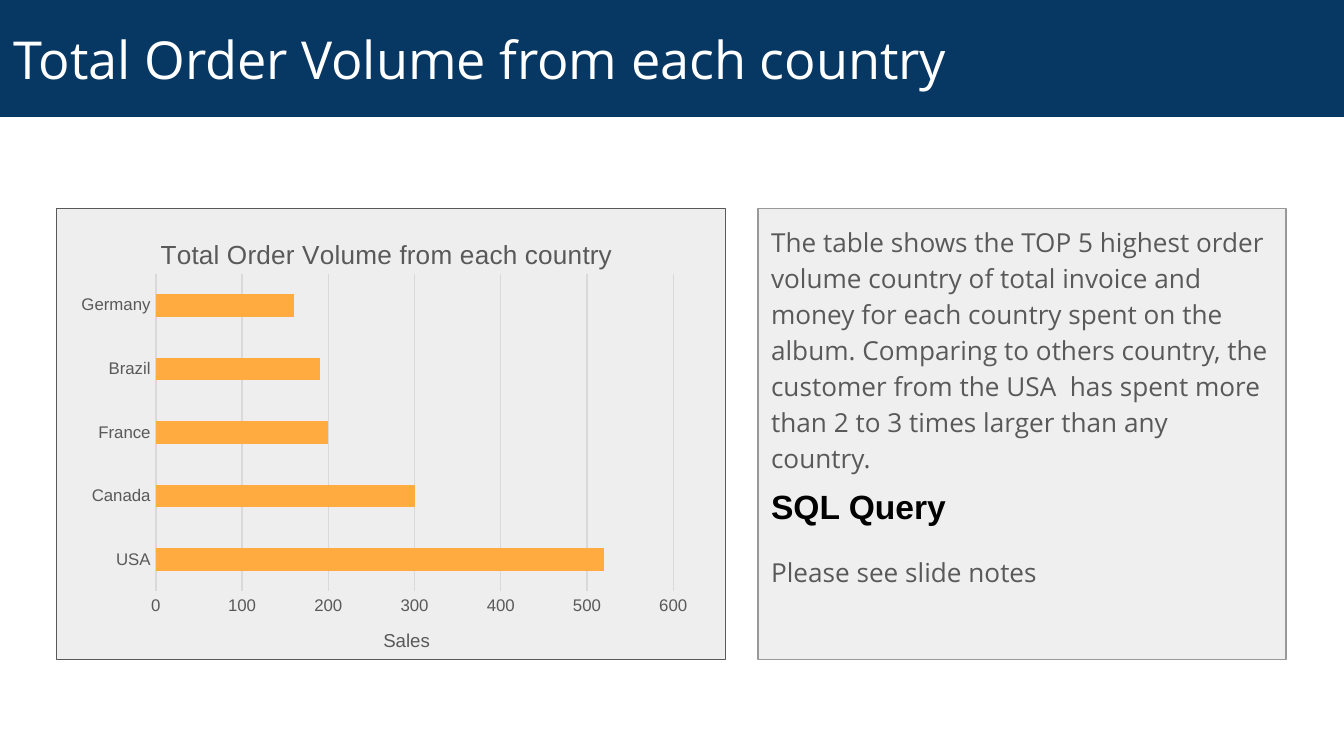
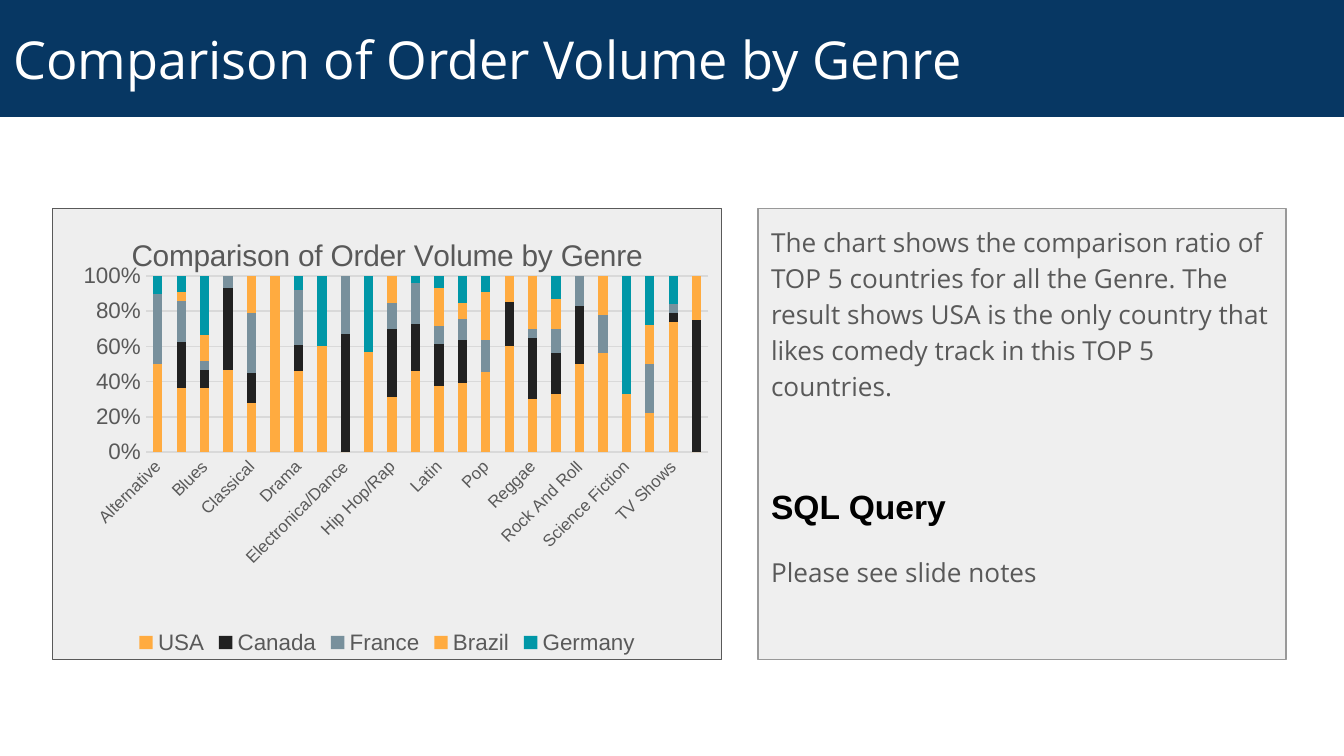
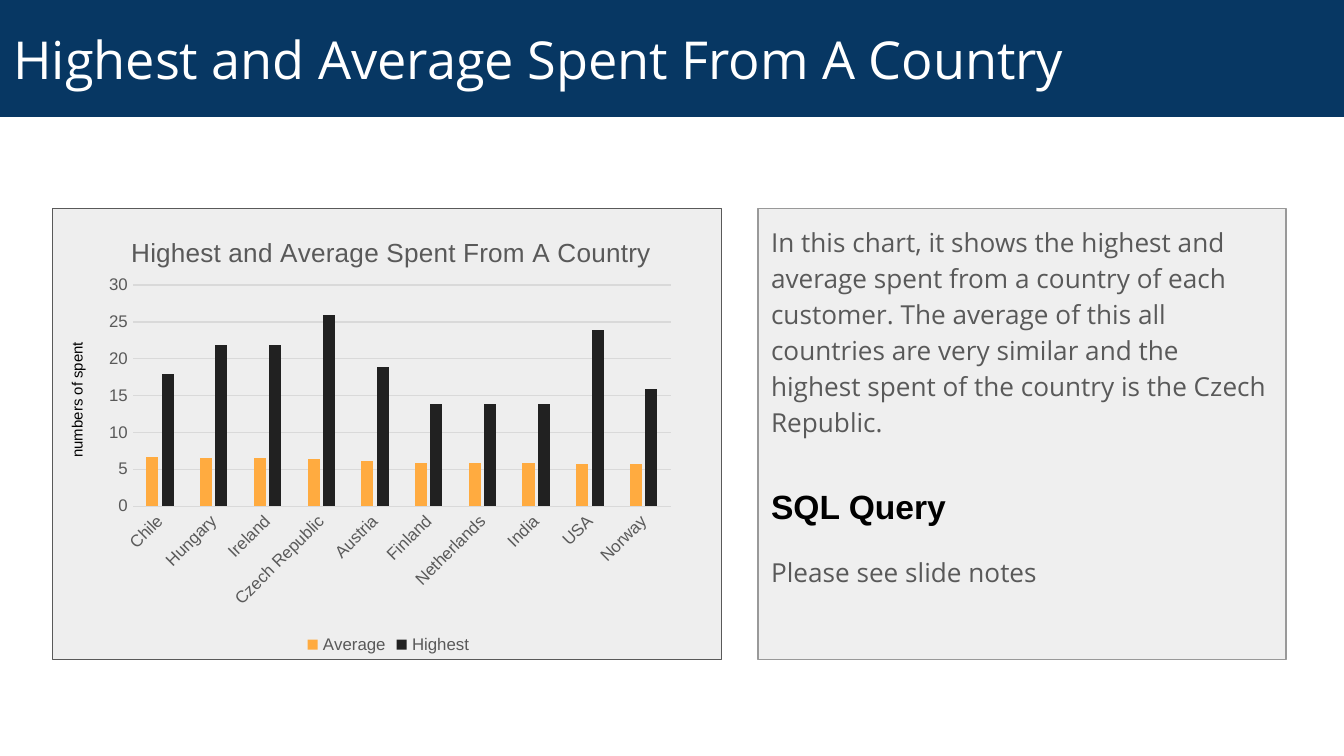
"""Build three slides that each pair a sales chart with a short explanation."""
from lxml.etree import SubElement
from pptx import Presentation
from pptx.chart.data import CategoryChartData
from pptx.dml.color import RGBColor
from pptx.enum.chart import XL_CHART_TYPE, XL_LEGEND_POSITION, XL_TICK_MARK
from pptx.enum.shapes import MSO_SHAPE
from pptx.enum.text import MSO_ANCHOR, MSO_AUTO_SIZE, PP_ALIGN
from pptx.oxml import parse_xml
from pptx.oxml.ns import nsdecls, qn
from pptx.util import Pt

COLORS = {
    "band": "073763", "white": "FFFFFF", "black": "000000", "text": "595959",
    "note": "EFEFEF", "note_line": "999999", "panel": "EEEEEE", "grid": "D9D9D9",
    "orange": "FFAB40", "dark": "212121", "slate": "78909C", "teal": "0097A7",
}
NOTE_LEFT, PANEL_TOP, NOTE_WIDTH, PANEL_HEIGHT = 406, 111.6, 283, 241.9
PANEL_WIDTH = 358.6

COUNTRIES = ["USA", "Canada", "France", "Brazil", "Germany"]
GENRES = ["Alternative", "Alternative & Punk", "Blues", "Bossa Nova", "Classical",
          "Comedy", "Drama", "Easy Listening", "Electronica/Dance", "Heavy Metal",
          "Hip Hop/Rap", "Jazz", "Latin", "Metal", "Pop", "R&B/Soul", "Reggae", "Rock",
          "Rock And Roll", "Sci Fi & Fantasy", "Science Fiction", "Soundtrack",
          "TV Shows", "World"]
SPENDERS = ["Chile", "Hungary", "Ireland", "Czech Republic", "Austria", "Finland",
            "Netherlands", "India", "USA", "Norway"]

SLIDES = [
    {
        "title": "Total Order Volume from each country",
        "note": "The table shows the TOP 5 highest order volume country of total invoice "
                "and money for each country spent on the album. Comparing to others "
                "country, the customer from the USA  has spent more than 2 to 3 times "
                "larger than any country.",
        "panel_left": 30.2,
        "label": {"text": "Sales", "frame": (198, 333.4, 39.6, 19.4), "size": 10,
                  "color": "text", "align": PP_ALIGN.CENTER},
        "chart": {
            "kind": XL_CHART_TYPE.BAR_CLUSTERED, "frame": (29.5, 113, 360, 239.8),
            "categories": COUNTRIES,
            "series": [("Series 1", [520, 300, 200, 190, 160], "orange")],
            "title_size": 14, "title_place": (0.15, 0.05),
            "plot_place": (0.15, 0.14, 0.77, 0.71), "gap": 182, "scale": (600, 100),
        },
    },
    {
        "title": "Comparison of Order Volume by Genre",
        "note": "The chart shows the comparison ratio of TOP 5 countries for all the "
                "Genre. The result shows USA is the only country that likes comedy track "
                "in this TOP 5 countries.",
        "panel_left": 28.1,
        "chart": {
            "kind": XL_CHART_TYPE.COLUMN_STACKED_100,
            "frame": (28.1, PANEL_TOP, PANEL_WIDTH, PANEL_HEIGHT),
            "categories": GENRES,
            "series": [
                ("USA", [50, 36, 37, 47, 28, 100, 46, 60, 0, 57, 31, 46, 37, 39, 45, 60,
                         30, 33, 50, 56, 33, 22, 74, 0], "orange"),
                ("Canada", [0, 26, 10, 47, 17, 0, 15, 0, 67, 0, 38, 27, 24, 24, 0, 25,
                            35, 23, 33, 0, 0, 0, 5, 75], "dark"),
                ("France", [40, 23, 5, 7, 34, 0, 31, 0, 33, 0, 15, 23, 10, 12, 18, 0,
                            5, 14, 17, 22, 0, 28, 5, 0], "slate"),
                ("Brazil", [0, 5, 15, 0, 21, 0, 0, 0, 0, 0, 15, 0, 21, 9, 27, 15,
                            30, 17, 0, 22, 0, 22, 0, 25], "orange"),
                ("Germany", [10, 9, 34, 0, 0, 0, 8, 40, 0, 43, 0, 4, 7, 15, 9, 0,
                             0, 13, 0, 0, 67, 28, 16, 0], "teal"),
            ],
            "title_size": 16, "title_place": (0.11, 0.05),
            "plot_place": (0.14, 0.15, 0.84, 0.39), "gap": 150, "overlap": 100,
            "value_size": 12, "value_format": "0%", "legend_size": 12,
            "slanted": True, "base_line": False,
        },
    },
    {
        "title": "Highest and Average Spent From A Country",
        "note": "In this chart, it shows the highest and average spent from a country of "
                "each customer. The average of this all countries are very similar and "
                "the highest spent of the country is the Czech Republic.",
        "panel_left": 28.1,
        "label": {"text": "numbers of spent", "frame": (2.9, 205.2, 77, 17.3), "size": 8,
                  "color": "black", "rotation": 270},
        "chart": {
            "kind": XL_CHART_TYPE.COLUMN_CLUSTERED,
            "frame": (28.1, PANEL_TOP, 360, PANEL_HEIGHT),
            "categories": SPENDERS,
            "series": [
                ("Average", [6.7, 6.5, 6.5, 6.4, 6.1, 5.9, 5.8, 5.8, 5.7, 5.7], "orange"),
                ("Highest", [17.9, 21.9, 21.9, 25.9, 18.9, 13.9, 13.9, 13.9, 23.9, 15.9],
                 "dark"),
            ],
            "title_size": 14, "title_place": (0.11, 0.05),
            "plot_place": (0.12, 0.17, 0.8, 0.49), "gap": 219, "overlap": -27,
            "scale": (30, 5), "legend_size": 9, "slanted": True,
        },
    },
]


def color(name):
    """Return the named colour."""
    return RGBColor.from_string(COLORS[name])


def points(*lengths):
    """Convert numbers to lengths in points."""
    return [Pt(length) for length in lengths]


def style_font(font, size, shade, family="Arial", bold=False):
    """Set size, colour, typeface and weight of a font."""
    font.size, font.name, font.bold = Pt(size), family, bold
    font.color.rgb = color(shade)


def style_runs(paragraph, *style, **options):
    """Apply one font style to every run of a paragraph."""
    for span in paragraph.runs:
        style_font(span.font, *style, **options)


def set_margins(frame, margin):
    """Give a text frame the same margin on all sides."""
    frame.margin_left = frame.margin_right = Pt(margin)
    frame.margin_top = frame.margin_bottom = Pt(margin)


def add_title(page, text):
    """Turn the title placeholder into the band across the top."""
    title = page.shapes.title
    title.left, title.top, title.width, title.height = points(0, 0, 720, 62.6)
    title.fill.solid()
    title.fill.fore_color.rgb = color("band")
    frame = title.text_frame
    frame.text = text
    frame.auto_size = MSO_AUTO_SIZE.NONE
    frame.vertical_anchor = MSO_ANCHOR.MIDDLE
    set_margins(frame, 7.2)
    paragraph = frame.paragraphs[0]
    paragraph.alignment = PP_ALIGN.LEFT
    style_runs(paragraph, 28, "white", "Open Sans")


def add_panel(page, left, width, fill, line):
    """Add a thinly outlined rectangle at panel height."""
    panel = page.shapes.add_shape(
        MSO_SHAPE.RECTANGLE, *points(left, PANEL_TOP, width, PANEL_HEIGHT))
    panel.shadow.inherit = False
    panel.fill.solid()
    panel.fill.fore_color.rgb = color(fill)
    panel.line.color.rgb = color(line)
    panel.line.width = Pt(0.75)
    return panel


def add_note(page, text):
    """Add the explanation panel on the right."""
    frame = add_panel(page, NOTE_LEFT, NOTE_WIDTH, "note", "note_line").text_frame
    frame.text = text
    frame.word_wrap = True
    frame.vertical_anchor = MSO_ANCHOR.TOP
    set_margins(frame, 7.2)
    paragraph = frame.paragraphs[0]
    paragraph.alignment = PP_ALIGN.LEFT
    paragraph.line_spacing = 1.15
    paragraph.space_after = Pt(16)
    style_runs(paragraph, 14, "text", "Open Sans")


def add_query(page):
    """Add the query heading and its hint over the explanation panel."""
    box = page.shapes.add_textbox(*points(NOTE_LEFT, 257, NOTE_WIDTH, 97))
    frame = box.text_frame
    frame.word_wrap = True
    frame.text = "SQL Query\nPlease see slide notes"
    heading, hint = frame.paragraphs
    style_runs(heading, 18, "black", bold=True)
    hint.space_before = Pt(16)
    style_runs(hint, 14, "text", "Open Sans")


def add_label(page, label):
    """Add a one-line axis label."""
    box = page.shapes.add_textbox(*points(*label["frame"]))
    box.rotation = label.get("rotation", 0)
    frame = box.text_frame
    frame.word_wrap = False
    frame.text = label["text"]
    paragraph = frame.paragraphs[0]
    paragraph.alignment = label.get("align", PP_ALIGN.LEFT)
    style_runs(paragraph, label["size"], label["color"])


def place_part(part, position, fractions):
    """Place a chart part by fractions of the chart's size."""
    for old in part.findall(qn("c:layout")):
        part.remove(old)
    layout = parse_xml(f"<c:layout {nsdecls('c')}><c:manualLayout/></c:layout>")
    manual = layout[0]
    settings = [("xMode", "edge"), ("yMode", "edge"), *zip("xywh", fractions)]
    if len(fractions) == 4:
        settings.insert(0, ("layoutTarget", "inner"))
    for tag, value in settings:
        SubElement(manual, qn(f"c:{tag}")).set("val", str(value))
    part.insert(position, layout)


def style_axis(axis, size):
    """Give an axis plain labels without tick marks."""
    axis.major_tick_mark = axis.minor_tick_mark = XL_TICK_MARK.NONE
    style_font(axis.tick_labels.font, size, "text")


def style_line(line, shade):
    """Set a thin chart line."""
    line.color.rgb = color(shade)
    line.width = Pt(0.75)


def style_axes(chart, plan):
    """Format both axes of a chart."""
    base, value = chart.category_axis, chart.value_axis
    style_axis(base, 9)
    style_axis(value, plan.get("value_size", 9))
    if plan.get("base_line", True):
        style_line(base.format.line, "grid")
    else:
        base.format.line.fill.background()
    value.format.line.fill.background()
    value.has_major_gridlines = True
    style_line(value.major_gridlines.format.line, "grid")
    value.tick_labels.number_format = plan.get("value_format", "General")
    value.tick_labels.number_format_is_linked = False
    if "scale" in plan:
        value.minimum_scale = 0
        value.maximum_scale, value.major_unit = plan["scale"]
    if plan.get("slanted"):
        chart.element.xpath(".//c:catAx/c:txPr/a:bodyPr")[0].set("rot", "-2700000")


def add_chart(page, title, plan):
    """Add a bar or column chart with its title, axes and legend."""
    data = CategoryChartData()
    data.categories = plan["categories"]
    for name, values, _ in plan["series"]:
        data.add_series(name, values)
    chart = page.shapes.add_chart(plan["kind"], *points(*plan["frame"]), data).chart
    style_font(chart.font, 10, "black")
    chart.element.find(qn("c:chart")).addnext(parse_xml(
        f"<c:spPr {nsdecls('c', 'a')}><a:noFill/><a:ln><a:noFill/></a:ln></c:spPr>"))

    chart.has_title = True
    chart.chart_title.text_frame.text = title
    style_runs(chart.chart_title.text_frame.paragraphs[0], plan["title_size"], "text")
    place_part(chart.element.xpath("./c:chart/c:title")[0], 1, plan["title_place"])
    place_part(chart.element.xpath("./c:chart/c:plotArea")[0], 0, plan["plot_place"])

    plot = chart.plots[0]
    plot.vary_by_categories = False
    plot.gap_width = plan["gap"]
    plot.overlap = plan.get("overlap", 0)
    for series, (_, _, shade) in zip(plot.series, plan["series"]):
        series.format.fill.solid()
        series.format.fill.fore_color.rgb = color(shade)
    style_axes(chart, plan)

    chart.has_legend = "legend_size" in plan
    if chart.has_legend:
        chart.legend.position = XL_LEGEND_POSITION.BOTTOM
        chart.legend.include_in_layout = False
        style_font(chart.legend.font, plan["legend_size"], "text")


def main():
    """Build and save the deck."""
    deck = Presentation()
    deck.slide_width, deck.slide_height = points(720, 405)
    for content in SLIDES:
        page = deck.slides.add_slide(deck.slide_layouts[5])
        add_title(page, content["title"])
        add_note(page, content["note"])
        add_panel(page, content["panel_left"], PANEL_WIDTH, "panel", "text")
        add_chart(page, content["title"], content["chart"])
        add_query(page)
        if "label" in content:
            add_label(page, content["label"])
    deck.save("out.pptx")


if __name__ == "__main__":
    main()
